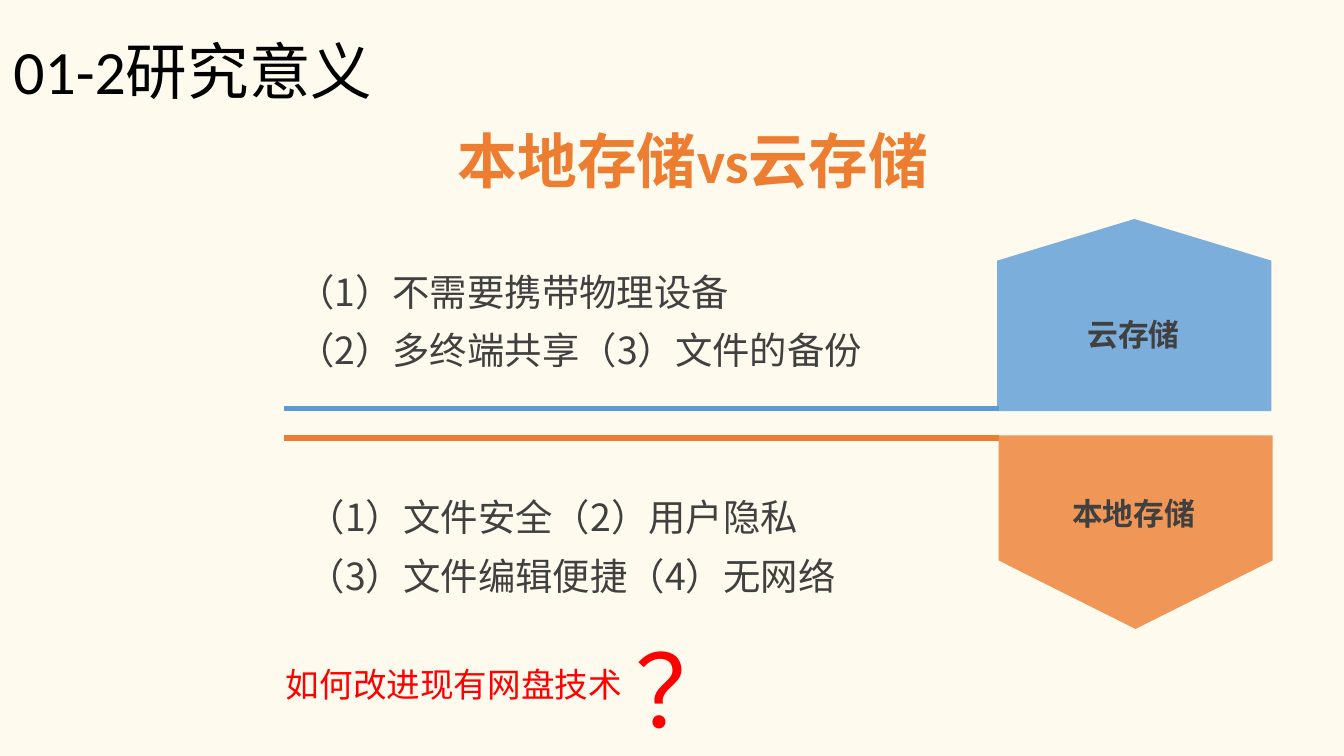
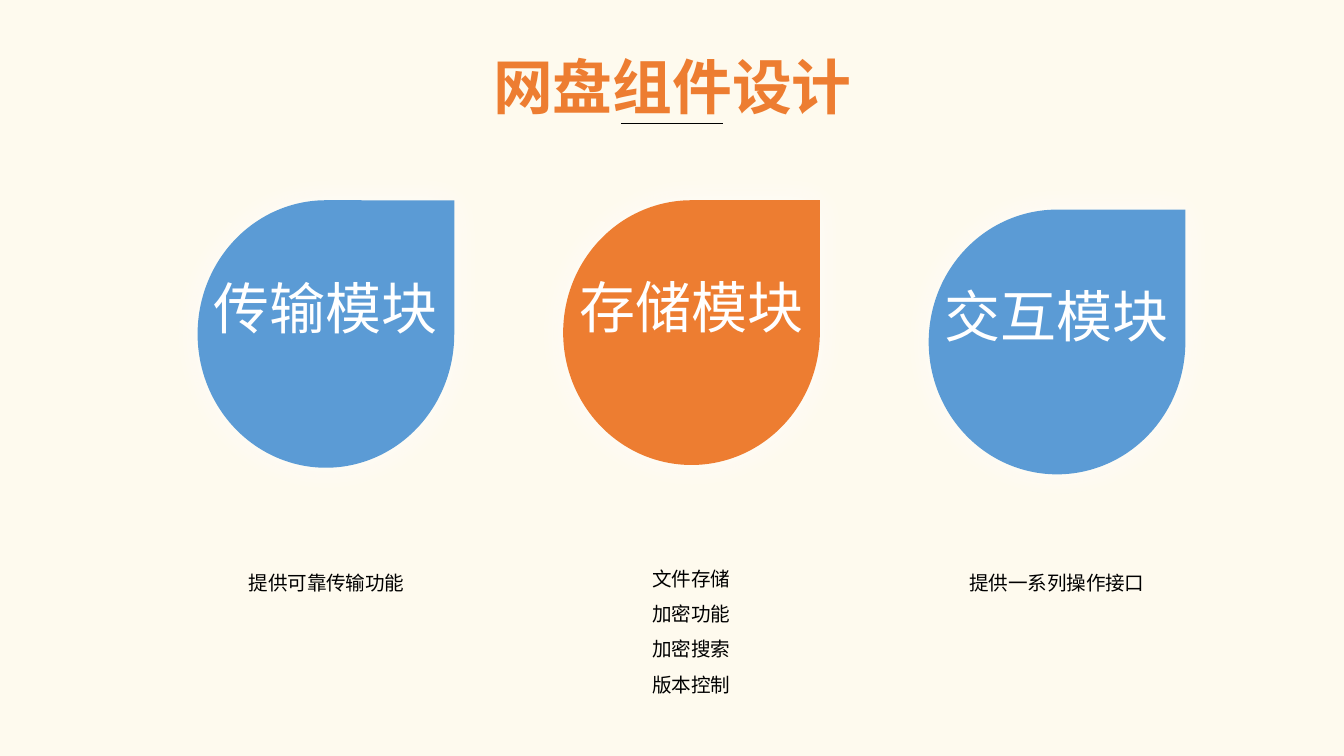
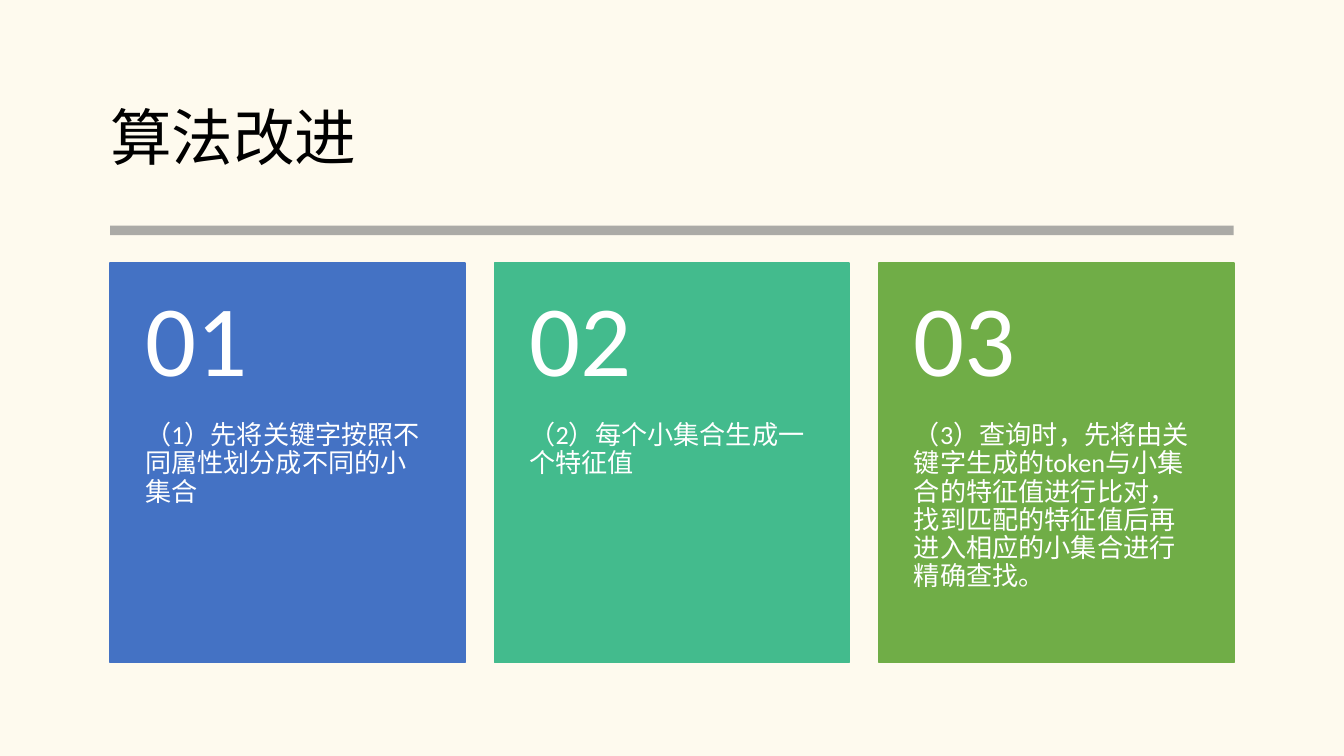
from lxml import etree
from pptx import Presentation
from pptx.dml.color import RGBColor
from pptx.enum.shapes import MSO_CONNECTOR, MSO_SHAPE
from pptx.enum.text import MSO_ANCHOR, MSO_AUTO_SIZE, PP_ALIGN
from pptx.oxml.ns import qn
from pptx.util import Inches, Pt

LEFT, MID = PP_ALIGN.LEFT, PP_ALIGN.CENTER
TOP, HALF = MSO_ANCHOR.TOP, MSO_ANCHOR.MIDDLE
FIXED = MSO_AUTO_SIZE.NONE
RECT, DROP = MSO_SHAPE.RECTANGLE, MSO_SHAPE.TEAR
LINE = MSO_CONNECTOR.STRAIGHT


class Theme:
    cream, white, black = "FEFAEE", "FFFFFF", "000000"
    orange, blue, dark, red = "ED7D31", "5B9BD5", "404040", "FF0000"
    gray, navy, teal, green = "808080", "4472C4", "43BB8D", "70AD47"
    latin, cjk = "Calibri", "Noto Sans CJK SC"
    title, head, drop, list, ask = 33, 32, 30, 20, 18
    label, card, note, huge = 16.5, 14, 10.5, 54


def write(shape, text, spot=None, size=18, color=Theme.black, font=Theme.latin,
          bold=False, align=LEFT, anchor=TOP, space=1.0, wrap=True,
          inset=(0.1, 0.05, 0.1, 0.05)):
    if spot:
        shape.left, shape.top, shape.width, shape.height = map(Inches, spot)
    frame = shape.text_frame
    frame.auto_size, frame.word_wrap = FIXED, wrap
    frame.vertical_anchor = anchor
    (frame.margin_left, frame.margin_top,
     frame.margin_right, frame.margin_bottom) = map(Inches, inset)
    frame.text = text
    for para in frame.paragraphs:
        para.alignment, para.line_spacing = align, space
        para.space_before = para.space_after = Pt(0)
        if shape.is_placeholder:
            props = para._p.get_or_add_pPr()
            props.set("marL", "0")
            props.set("indent", "0")
            etree.SubElement(props, qn("a:buNone"))
        for run in para.runs:
            run.font.size, run.font.bold, run.font.name = Pt(size), bold, font
            run.font.color.rgb = RGBColor.from_string(color)
            etree.SubElement(run._r.get_or_add_rPr(), qn("a:ea"), typeface=Theme.latin)


def paint(shape, color, alpha=100):
    shape.shadow.inherit = False
    shape.fill.solid()
    shape.fill.fore_color.rgb = RGBColor.from_string(color)
    shape.line.fill.background()
    if alpha < 100:
        tone = shape._element.spPr.find(qn("a:solidFill"))[0]
        etree.SubElement(tone, qn("a:alpha"), val=str(alpha * 1000))


deck = Presentation()
deck.slide_width = Inches(10)
deck.slide_height = deck.slide_width * 9 // 16
back = deck.slide_master.background.fill
back.solid()
back.fore_color.rgb = RGBColor.from_string(Theme.cream)
value, parts, steps = [deck.slides.add_slide(deck.slide_layouts[n]) for n in (3, 5, 5)]

for page, text, spot in (
    (value, "01-2研究意义", (0, 0.01, 3.59, 1.09)),
    (steps, "算法改进", (0.72, 0.5, 8.57, 1.09)),
):
    write(page.shapes.title, text, spot, size=Theme.title, anchor=HALF, space=0.9)
write(parts.shapes.title, "网盘组件设计", (3.55, 0.32, 2.91, 0.64), size=Theme.head,
      color=Theme.orange, bold=True, align=MID, wrap=False)

for color, left, base, edge, tip in (
    (Theme.orange, 7.43, 3.24, 4.17, 4.68),
    (Theme.blue, 7.42, 3.06, 1.94, 1.63),
):
    right, peak = left + 2.04, left + 1.02
    pen = value.shapes.build_freeform(Inches(left), Inches(base))
    pen.add_line_segments([(Inches(x), Inches(y)) for x, y in (
        (left, edge), (peak, tip), (right, edge), (right, base))])
    paint(pen.convert_to_shape(), color, 80)

for page, start, end, y, color, width in (
    (value, 7.43, 2.11, 3.04, Theme.blue, 3),
    (value, 7.43, 2.11, 3.26, Theme.orange, 3),
    (parts, 4.62, 5.38, 0.92, Theme.black, 0.5),
):
    rule = page.shapes.add_connector(LINE, Inches(start), Inches(y), Inches(end), Inches(y))
    rule.line.color.rgb = RGBColor.from_string(color)
    rule.line.width = Pt(width)
    etree.SubElement(rule._element.spPr, qn("a:effectLst"))

for text, y in (("云存储", 2.31), ("本地存储", 3.64)):
    write(value.shapes.add_textbox(0, 0, 0, 0), text, (7.55, y, 1.77, 0.35),
          size=Theme.label, color=Theme.dark, font=Theme.cjk, bold=True, align=MID,
          inset=(0.07, 0.04, 0.07, 0.04))

for key, text, spot in (
    (1, "（1）不需要携带物理设备\n（2）多终端共享（3）文件的备份", (2.11, 1.85, 5.33, 0.93)),
    (2, "（1）文件安全（2）用户隐私\n（3）文件编辑便捷（4）无网络", (2.19, 3.53, 4.9, 0.93)),
):
    write(value.placeholders[key], text, spot, size=Theme.list, color=Theme.dark,
          font=Theme.cjk, space=1.3)

write(value.shapes.add_textbox(0, 0, 0, 0), "本地存储vs云存储", (3.25, 0.87, 3.81, 0.64),
      size=Theme.head, color=Theme.orange, bold=True, align=MID)
for text, spot, size in (
    ("如何改进现有网盘技术", (2.03, 4.89, 2.7, 0.4), Theme.ask),
    ("？", (4.63, 4.62, 1.06, 1.01), Theme.huge),
):
    write(value.shapes.add_textbox(0, 0, 0, 0), text, spot, size=size, color=Theme.red)

for col, (name, color, y, tall, note, spot) in enumerate((
    ("传输模块", Theme.blue, 1.49, 1.99, "提供可靠传输功能", (1.74, 4.03, 1.38, 0.45)),
    ("存储模块", Theme.orange, 1.49, 1.97, "文件存储\n加密功能\n加密搜索\n版本控制",
     (4.75, 4, 0.79, 1.24)),
    ("交互模块", Theme.blue, 1.56, 1.97, "提供一系列操作接口", (7.1, 4.03, 1.53, 0.45)),
)):
    drop = parts.shapes.add_shape(DROP, 0, 0, 0, 0)
    paint(drop, color)
    glow = etree.SubElement(drop._element.spPr.find(qn("a:effectLst")),
                            qn("a:outerShdw"), blurRad=str(Pt(20)))
    tone = etree.SubElement(glow, qn("a:srgbClr"), val=Theme.white)
    etree.SubElement(tone, qn("a:alpha"), val="80000")
    write(drop, name, (1.47 + col * 2.72, y, 1.91, tall), size=Theme.drop,
          color=Theme.white, font=Theme.cjk, align=MID, wrap=False,
          inset=(0.07, 0.25, 0.07, 0.04))
    write(parts.shapes.add_textbox(0, 0, 0, 0), note, spot, size=Theme.note,
          font=Theme.cjk, align=MID, space=1.5, wrap=False, inset=(0.1, 0.13, 0.1, 0.05))

bar = steps.shapes.add_shape(RECT, *map(Inches, (0.82, 1.68, 8.36, 0.07)))
paint(bar, Theme.gray, 65)
for col, (color, text) in enumerate((
    (Theme.navy, "（1）先将关键字按照不同属性划分成不同的小集合"),
    (Theme.teal, "（2）每个小集合生成一个特征值"),
    (Theme.green, "（3）查询时，先将由关键字生成的token与小集合的特征值进行比对，"
                  "找到匹配的特征值后再进入相应的小集合进行精确查找。"),
)):
    x = 0.82 + col * 2.86
    card = steps.shapes.add_shape(RECT, *map(Inches, (x, 1.96, 2.64, 2.97)))
    paint(card, color)
    card.line.color.rgb = RGBColor.from_string(color)
    card.line.width = Pt(1)
    write(steps.shapes.add_textbox(0, 0, 0, 0), text, (x, 3.14, 2.64, 1.78),
          size=Theme.card, color=Theme.white, space=0.9, inset=(0.26, 0, 0.26, 0.36))
    write(steps.shapes.add_textbox(0, 0, 0, 0), f"{col + 1:02}", (x, 1.96, 2.64, 1.19),
          size=Theme.huge, color=Theme.white, anchor=HALF, space=0.9,
          inset=(0.26, 0.18, 0.26, 0.18))

deck.save("out.pptx")
